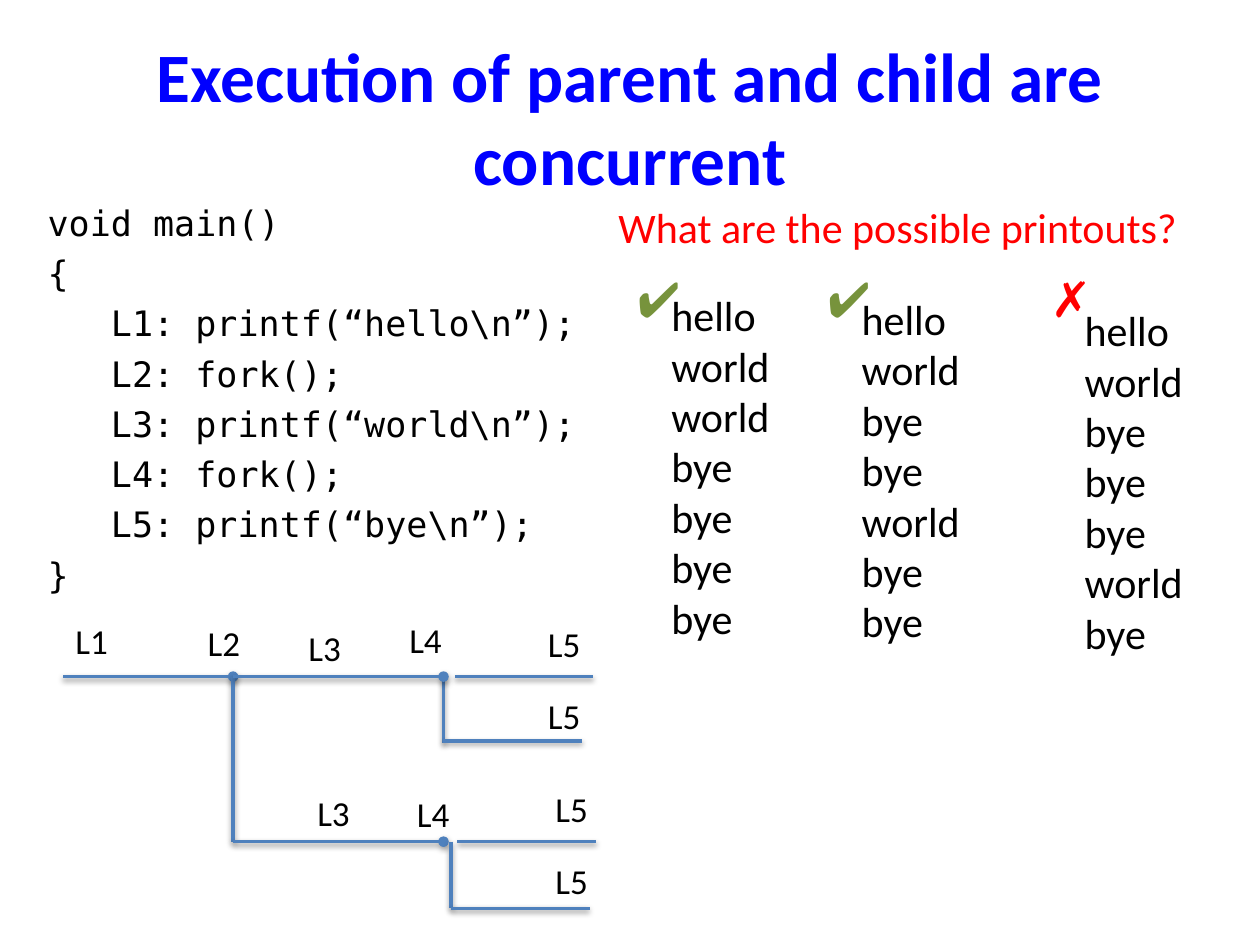
"""Build the slide on concurrent execution of parent and child processes."""
from lxml.etree import SubElement
from pptx import Presentation
from pptx.dml.color import RGBColor
from pptx.enum.shapes import MSO_CONNECTOR as CONN
from pptx.enum.text import MSO_ANCHOR as ANCHOR, PP_ALIGN as ALIGN
from pptx.oxml import parse_xml
from pptx.oxml.ns import nsdecls, qn
from pptx.util import Inches, Pt

BLACK = RGBColor(0x00, 0x00, 0x00)
BLUE = RGBColor(0x00, 0x00, 0xFF)
RED = RGBColor(0xFF, 0x00, 0x00)
GREEN = RGBColor(0x77, 0x93, 0x3C)
STEEL = RGBColor(0x4F, 0x81, 0xBD)

SHADOW = (
    f'<a:effectLst {nsdecls("a")}>'
    '<a:outerShdw blurRad="40000" dist="20000" dir="5400000" rotWithShape="0">'
    '<a:srgbClr val="000000"><a:alpha val="38000"/></a:srgbClr>'
    '</a:outerShdw></a:effectLst>'
)

CODE = """void main()
{
   L1: printf(“hello\\n”);
   L2: fork();
   L3: printf(“world\\n”);
   L4: fork();
   L5: printf(“bye\\n”);
}"""

prs = Presentation()
prs.slide_width, prs.slide_height = Inches(10), Inches(7.5)
s = prs.slides.add_slide(prs.slide_layouts[6])


def add_text(text, x, y, w, h, size=20, font="Calibri", color=BLACK, bold=False,
             align=ALIGN.LEFT, anchor=ANCHOR.TOP, wrap=False, before=0):
    sp = s.shapes.add_textbox(Inches(x), Inches(y), Inches(w), Inches(h))
    tf = sp.text_frame
    tf.word_wrap = wrap
    tf.vertical_anchor = anchor
    for i, line in enumerate(text.split("\n")):
        p = tf.paragraphs[0] if i == 0 else tf.add_paragraph()
        p.alignment = align
        p.space_before = Pt(before if i else 0)
        r = p.add_run()
        r.text = line
        r.font.size, r.font.name, r.font.bold = Pt(size), font, bold
        r.font.color.rgb = color


def add_line(x1, y1, x2, y2, dot=False):
    c = s.shapes.add_connector(CONN.STRAIGHT, Inches(x1), Inches(y1), Inches(x2), Inches(y2))
    c.line.color.rgb = STEEL
    c.line.width = Pt(2)
    if dot:
        SubElement(c.line._get_or_add_ln(), qn("a:tailEnd"), type="oval")
    c._element.spPr.append(parse_xml(SHADOW))


add_text("Execution of parent and child are concurrent", 0.5, 0.3, 9, 1.25, size=39.6,
         color=BLUE, bold=True, align=ALIGN.CENTER, anchor=ANCHOR.MIDDLE, wrap=True)
add_text(CODE, 0.28, 1.55, 4.43, 3.44, font="DejaVu Sans Mono", wrap=True, before=4.7)
add_text("What are the possible printouts?", 4.81, 1.55, 4.69, 0.5, size=24, color=RED)

for x1, y1, x2, y2, dot in [
    (0.5, 5.37, 1.85, 5.37, True),
    (1.85, 5.37, 1.85, 6.68, False),
    (1.85, 6.68, 3.52, 6.68, True),
    (3.61, 5.37, 4.71, 5.37, False),
    (3.52, 5.37, 3.52, 5.9, False),
    (3.52, 5.88, 4.62, 5.88, False),
    (3.63, 6.68, 4.73, 6.68, False),
    (3.58, 6.68, 3.58, 7.21, False),
    (3.58, 7.21, 4.68, 7.21, False),
    (1.85, 5.37, 3.52, 5.37, True),
]:
    add_line(x1, y1, x2, y2, dot)

for label, x, y in [
    ("L1", 0.5, 4.87), ("L2", 1.55, 4.88), ("L3", 2.35, 4.92), ("L4", 3.15, 4.86),
    ("L5", 4.25, 4.89), ("L5", 4.25, 5.46), ("L3", 2.42, 6.23), ("L4", 3.21, 6.24),
    ("L5", 4.31, 6.2), ("L5", 4.31, 6.77),
]:
    add_text(label, x, y, 0.46, 0.44)

for words, x, y, mark, mark_x, mark_w, color in [
    ("hello world world bye bye bye bye", 5.23, 2.25, "✔", 4.96, 0.53, GREEN),
    ("hello world bye bye world bye bye", 6.74, 2.28, "✔", 6.47, 0.53, GREEN),
    ("hello world bye bye bye world bye", 8.51, 2.37, "✗", 8.24, 0.43, RED),
]:
    add_text(words.replace(" ", "\n"), x, y, 0.99, 2.93, size=24)
    add_text(mark, mark_x, 2.08, mark_w, 0.57, size=28, font="Arial", color=color)

prs.save("out.pptx")
